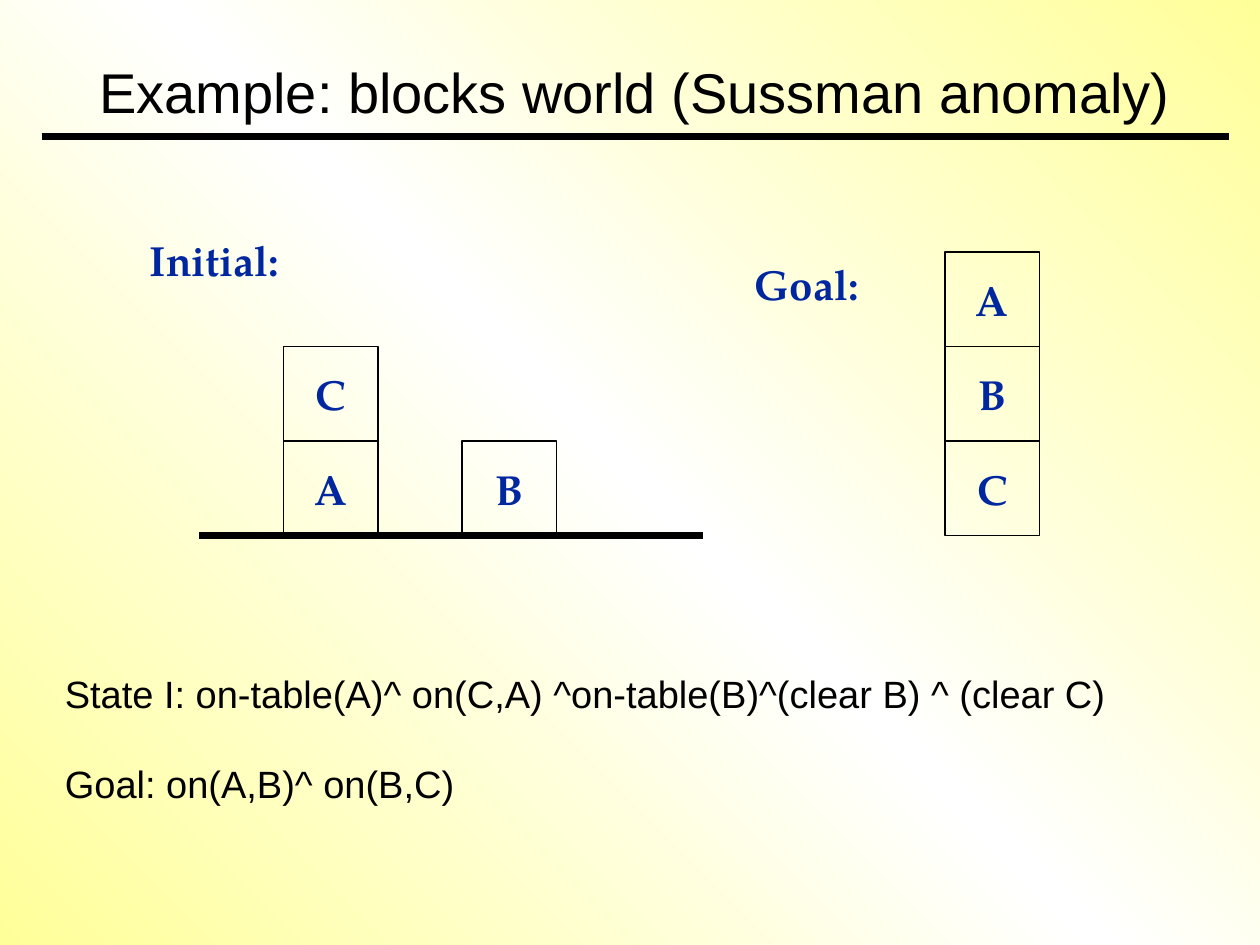
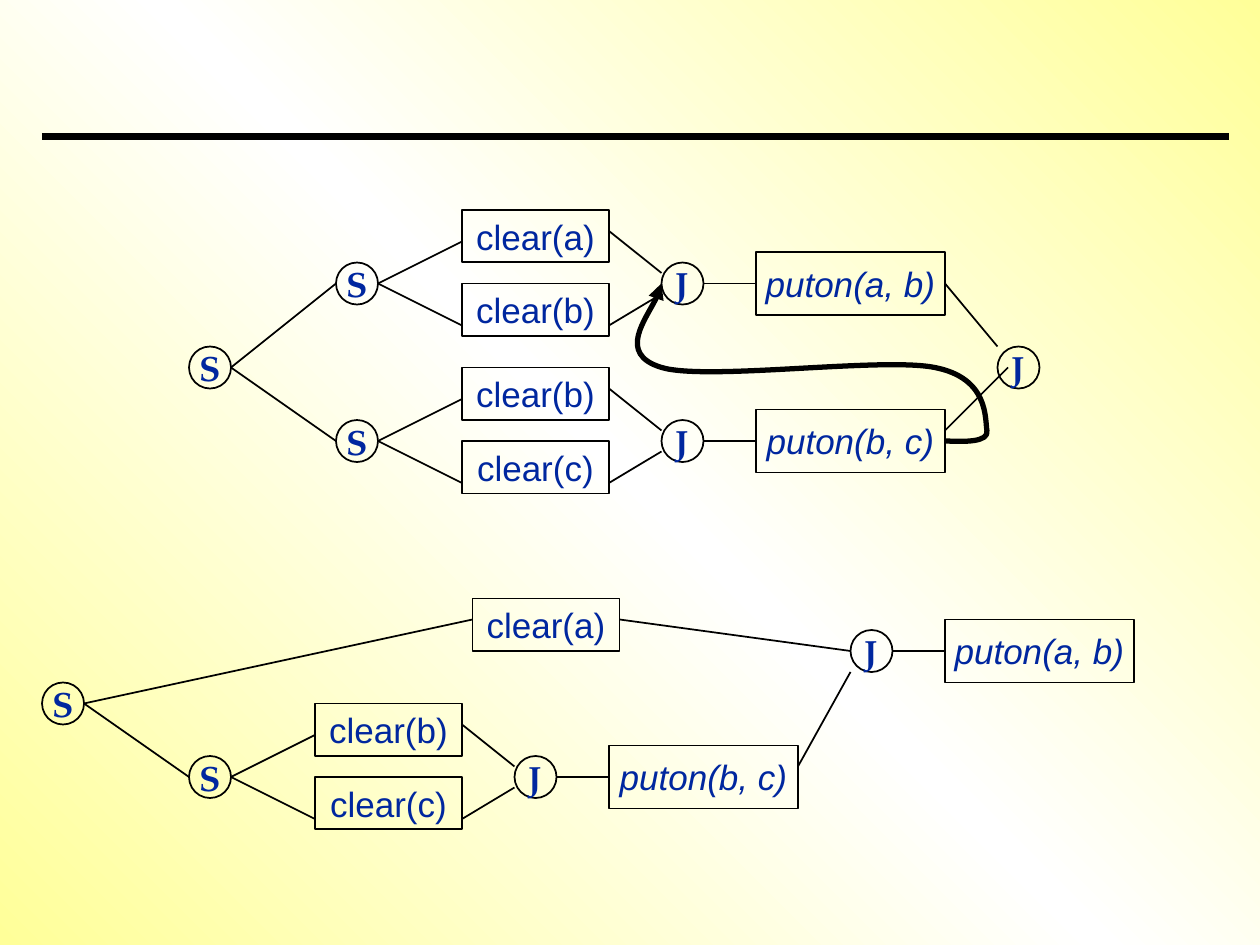
from copy import deepcopy

from pptx import Presentation
from pptx.dml.color import RGBColor
from pptx.enum.shapes import MSO_CONNECTOR, MSO_SHAPE
from pptx.enum.text import MSO_ANCHOR, PP_ALIGN
from pptx.oxml.ns import qn
from pptx.oxml.xmlchemy import OxmlElement
from pptx.util import Inches, Pt

RECT, OVAL = MSO_SHAPE.RECTANGLE, MSO_SHAPE.OVAL
STRAIGHT = MSO_CONNECTOR.STRAIGHT
TOP, MIDDLE = MSO_ANCHOR.TOP, MSO_ANCHOR.MIDDLE
LEFT, CENTER = PP_ALIGN.LEFT, PP_ALIGN.CENTER

COLORS = {k: RGBColor.from_string(v) for k, v in {
    "yellow": "FFFF99", "white": "FFFFFF", "black": "000000", "blue": "00279F"}.items()}
SERIF = "TeX Gyre Pagella"
FORMATS = {
    "title": ("black", {"name": "Arial", "size": Pt(32)}),
    "body": ("black", {"name": "Arial", "size": Pt(21.7)}),
    "block": ("blue", {"name": SERIF, "size": Pt(24), "bold": True}),
    "node": ("blue", {"name": SERIF, "size": Pt(20), "bold": True}),
    "goal": ("blue", {"name": "Arial", "size": Pt(20)}),
    "action": ("blue", {"name": "Arial", "size": Pt(20), "italic": True}),
}

prs = Presentation()
prs.slide_width, prs.slide_height = Inches(10), Inches(7.5)
U = prs.slide_width // 120  # grid of 120 columns by 90 rows


def put(s, kind, box, text, fmt, align=CENTER, anchor=MIDDLE, wrap=False):
    """Add an outlined shape, or a text box when kind is None."""
    box = [round(v * U) for v in box]
    if kind is None:
        sp = s.shapes.add_textbox(*box)
    else:
        sp = s.shapes.add_shape(kind, *box)
        sp.shadow.inherit = False
        sp.fill.background()
        sp.line.color.rgb = COLORS["black"]
        sp.line.width = Pt(1)
    tf = sp.text_frame
    tf.word_wrap, tf.vertical_anchor = wrap, anchor
    tf.text = text
    color, font = FORMATS[fmt]
    for p in tf.paragraphs:
        p.alignment = align
        p.font.color.rgb = COLORS[color]
        for r in p.runs:
            r.font.color.rgb = COLORS[color]
            for key, value in font.items():
                setattr(r.font, key, value)
    return sp


def line(s, ends, width=1):
    """Join two grid points given as x1, y1, x2, y2."""
    cx = s.shapes.add_connector(STRAIGHT, *[v * U for v in ends])
    cx.line.color.rgb = COLORS["black"]
    cx.line.width = Pt(width)
    cx._element.spPr.append(OxmlElement("a:effectLst"))


# Shared background and title rule
slides = [prs.slides.add_slide(prs.slide_layouts[6]) for _ in range(2)]
for s in slides:
    fill = s.background.fill
    fill.gradient()
    fill.gradient_angle = 45
    stops = s.element.find(".//" + qn("a:gsLst"))
    stops.insert(1, deepcopy(stops[0]))
    for stop, pos, color in zip(fill.gradient_stops, (0, 0.5, 1), ("yellow", "white", "yellow")):
        stop.position = pos
        stop.color.rgb = COLORS[color]
    line(s, (4, 13, 117, 13), 4.5)

# Slide 1: blocks world
s = slides[0]
put(s, None, (8, 1.1, 105, 15.1), "Example: blocks world (Sussman anomaly)", "title", wrap=True)
sp = put(s, None, (5, 64, 108, 17),
         "State I: on-table(A)^ on(C,A) ^on-table(B)^(clear B) ^ (clear C)\nGoal: on(A,B)^ on(B,C)",
         "body", LEFT, TOP, True)
tf = sp.text_frame
tf.margin_top = Inches(0.09)
for p in tf.paragraphs:
    p.line_spacing = 0.7
tf.paragraphs[1].space_before = Pt(33)

line(s, (19, 51, 67, 51), 4.5)
BLOCK = 9
for x, stack in ((27, "AC"), (44, "B"), (90, "CBA")):  # bottom block first
    for level, name in enumerate(stack, 1):
        put(s, RECT, (x, 51 - level * BLOCK, BLOCK, BLOCK), name, "block")
for text, box in (("Initial:", (13.1, 21.7, 16.1, 6)), ("Goal:", (70.7, 24, 13, 6))):
    put(s, None, box, text, "block", LEFT, TOP)

# Slide 2: split, two goals, join, action (x, y is the split node)
s = slides[1]
NODE, GOAL, ACTION = (4, 4), (14, 5), (18, 6)
for x, y, upper, lower, action in ((32, 25, "clear(a)", "clear(b)", "puton(a, b)"),
                                   (32, 40, "clear(b)", "clear(c)", "puton(b, c)"),
                                   (18, 72, "clear(b)", "clear(c)", "puton(b, c)")):
    put(s, OVAL, (x, y, *NODE), "S", "node")
    put(s, OVAL, (x + 31, y, *NODE), "J", "node")
    put(s, RECT, (x + 12, y - 5, *GOAL), upper, "goal")
    put(s, RECT, (x + 12, y + 2, *GOAL), lower, "goal")
    put(s, RECT, (x + 40, y - 1, *ACTION), action, "action")
    for x1, y1, x2, y2 in ((4, 2, 12, -2), (4, 2, 12, 6), (26, -3, 31, 1),
                           (26, 6, 31, 3), (35, 2, 40, 2)):
        line(s, (x + x1, y + y1, x + x2, y + y2))

# Outer nodes of both plans
for x, y, name in ((18, 33, "S"), (95, 33, "J"), (4, 65, "S"), (81, 60, "J")):
    put(s, OVAL, (x, y, *NODE), name, "node")
put(s, RECT, (45, 57, *GOAL), "clear(a)", "goal")
put(s, RECT, (90, 59, *ACTION), "puton(a, b)", "action")
for ends in ((22, 35, 32, 27), (22, 35, 32, 42), (90, 27, 95, 33), (90, 41, 96, 35),
             (8, 67, 45, 59), (8, 67, 18, 74), (59, 59, 81, 62), (85, 62, 90, 62),
             (76, 73, 81, 64)):
    line(s, ends)

# Ordering arrow: control points in tenths of a grid unit
points = [(920, 421), (942, 421), (940, 410), (938, 399), (942, 360), (890, 350),
          (839, 340), (673, 363), (630, 350), (587, 337), (630, 283), (630, 270)]
fb = s.shapes.build_freeform(900, 420, scale=U / 10)
fb.add_line_segments(points, close=False)
sp = fb.convert_to_shape()
sp.shadow.inherit = False
sp.fill.background()
sp.line.color.rgb = COLORS["black"]
sp.line.width = Pt(3)
segments = list(sp._element.iter(qn("a:lnTo")))
for i in range(0, len(segments), 3):  # each three points make one cubic curve
    curve = OxmlElement("a:cubicBezTo")
    segments[i].addprevious(curve)
    for seg in segments[i:i + 3]:
        curve.append(seg[0])
        seg.getparent().remove(seg)
tail = OxmlElement("a:tailEnd")
tail.set("type", "triangle")
sp.line._get_or_add_ln().append(tail)

prs.save("out.pptx")
